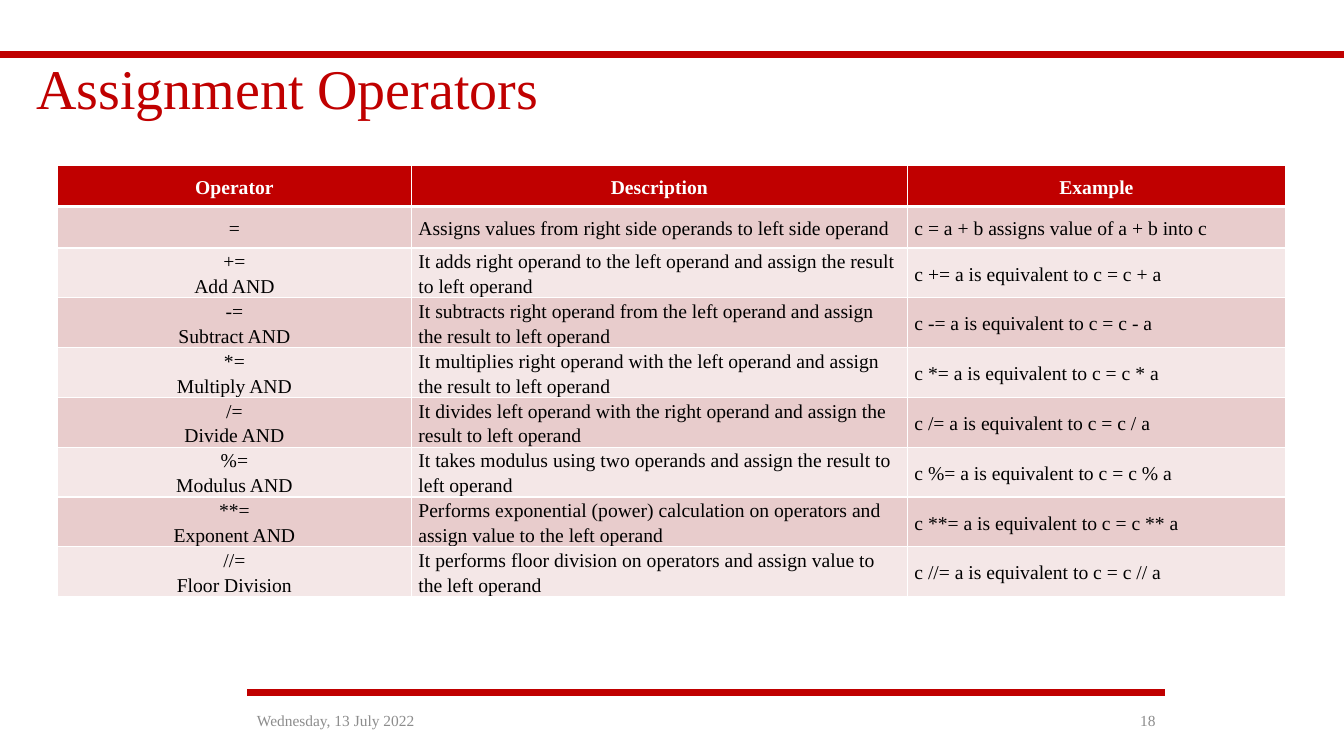
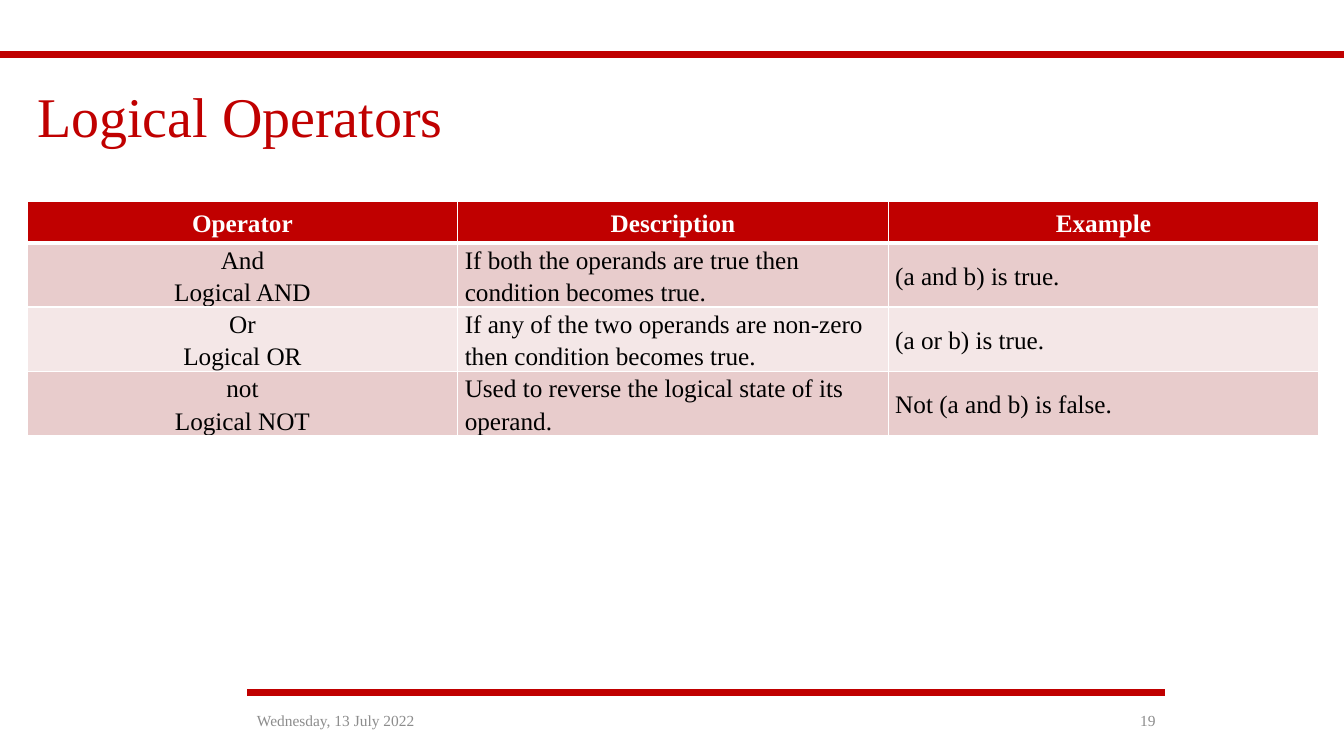
from lxml import etree
from pptx import Presentation
from pptx.dml.color import RGBColor
from pptx.enum.shapes import MSO_CONNECTOR
from pptx.enum.text import MSO_ANCHOR, MSO_AUTO_SIZE, PP_ALIGN
from pptx.oxml.ns import qn
from pptx.util import Inches, Pt

STRAIGHT = MSO_CONNECTOR.STRAIGHT
MIDDLE = MSO_ANCHOR.MIDDLE
NO_AUTOFIT = MSO_AUTO_SIZE.NONE
LEFT, CENTER, RIGHT = PP_ALIGN.LEFT, PP_ALIGN.CENTER, PP_ALIGN.RIGHT

FONT = "Times New Roman"
RED, WHITE, BLACK, GREY = "C00000", "FFFFFF", "000000", "8C8C8C"
BANDS = ("E8CCCC", "F4E7E7")
SLIDE_WIDTH, SLIDE_HEIGHT = 13.33, 7.5
TITLE_WIDTH, TITLE_HEIGHT = 12.81, 1.28
ROW_HEIGHT = 0.41
CELL_INSET = 0.07
DATE = "Wednesday, 13 July 2022"

HEADINGS = ("Operator", "Description", "Example")
ASSIGNMENT_ROWS = [
    ("=", "Assigns values from right side operands to left side operand",
     "c = a + b assigns value of a + b into c"),
    ("+=\nAdd AND",
     "It adds right operand to the left operand and assign the result to left operand",
     "c += a is equivalent to c = c + a"),
    ("-=\nSubtract AND",
     "It subtracts right operand from the left operand and assign the result to left operand",
     "c -= a is equivalent to c = c - a"),
    ("*=\nMultiply AND",
     "It multiplies right operand with the left operand and assign the result to left operand",
     "c *= a is equivalent to c = c * a"),
    ("/=\nDivide AND",
     "It divides left operand with the right operand and assign the result to left operand",
     "c /= a is equivalent to c = c / a"),
    ("%=\nModulus AND",
     "It takes modulus using two operands and assign the result to left operand",
     "c %= a is equivalent to c = c % a"),
    ("**=\nExponent AND",
     "Performs exponential (power) calculation on operators and assign value to the left operand",
     "c **= a is equivalent to c = c ** a"),
    ("//=\nFloor Division",
     "It performs floor division on operators and assign value to the left operand",
     "c //= a is equivalent to c = c // a"),
]
LOGICAL_ROWS = [
    ("And\nLogical AND", "If both the operands are true then condition becomes true.",
     "(a and b) is true."),
    ("Or\nLogical OR", "If any of the two operands are non-zero then condition becomes true.",
     "(a or b) is true."),
    ("not\nLogical NOT", "Used to reverse the logical state of its operand.",
     "Not (a and b) is false."),
]


def rgb(value):
    return RGBColor.from_string(value)


def write_text(frame, text, size, color, align=LEFT, spacing=1.0, bold=False):
    frame.text = text
    frame.word_wrap = True
    for para in frame.paragraphs:
        para.alignment = align
        para.line_spacing = spacing
        for span in para.runs:
            span.font.name = FONT
            span.font.size = Pt(size)
            span.font.bold = bold
            span.font.color.rgb = rgb(color)


def add_master_rule(deck, slide, left, right, top):
    rule = slide.shapes.add_connector(
        STRAIGHT, Inches(left), Inches(top), Inches(right), Inches(top))
    rule.line.color.rgb = rgb(RED)
    rule.line.width = Pt(4.5)
    etree.SubElement(rule.element.spPr, qn("a:effectLst"))
    deck.slide_master.shapes.element.append(rule.element)


def set_title(slide, text, left, top):
    title = slide.shapes.title
    title.left, title.top = Inches(left), Inches(top)
    title.width, title.height = Inches(TITLE_WIDTH), Inches(TITLE_HEIGHT)
    frame = title.text_frame
    write_text(frame, text, 40, RED, spacing=0.9)
    frame.vertical_anchor = MIDDLE
    frame.auto_size = NO_AUTOFIT


def add_footer_text(slide, text, left, width, align):
    box = slide.shapes.add_textbox(Inches(left), Inches(6.95), Inches(width), Inches(0.4))
    write_text(box.text_frame, text, 11, GREY, align)
    box.text_frame.vertical_anchor = MIDDLE


def set_borders(cell, widths):
    properties = cell._tc.get_or_add_tcPr()
    for position, (side, width) in enumerate(widths.items()):
        line = etree.Element(qn(f"a:ln{side}"), w=str(Pt(width)))
        fill = etree.SubElement(line, qn("a:solidFill"))
        etree.SubElement(fill, qn("a:srgbClr"), val=WHITE)
        properties.insert(position, line)


def format_cell(cell, text, row, column, size):
    header = row == 0
    align = CENTER if header or column == 0 else LEFT
    write_text(cell.text_frame, text, size, WHITE if header else BLACK, align, 1.15, header)
    cell.vertical_anchor = MIDDLE
    cell.margin_left = cell.margin_right = Inches(CELL_INSET)
    cell.margin_top = cell.margin_bottom = 0
    cell.fill.solid()
    cell.fill.fore_color.rgb = rgb(RED if header else BANDS[(row - 1) % 2])
    set_borders(cell, {"L": 1, "R": 1, "T": 3 if row == 1 else 1, "B": 3 if header else 1})


def add_operator_table(slide, body, left, top, widths, size):
    rows = [HEADINGS, *body]
    table = slide.shapes.add_table(
        len(rows), len(widths), Inches(left), Inches(top),
        Inches(sum(widths)), Inches(ROW_HEIGHT * len(rows))).table
    for column, width in zip(table.columns, widths):
        column.width = Inches(width)
    for row, texts in enumerate(rows):
        table.rows[row].height = Inches(ROW_HEIGHT)
        for column, text in enumerate(texts):
            format_cell(table.cell(row, column), text, row, column, size)


def add_operator_slide(deck, title, title_at, number, body, table_at, widths, size):
    slide = deck.slides.add_slide(deck.slide_layouts.get_by_name("Title Only"))
    set_title(slide, title, *title_at)
    add_operator_table(slide, body, *table_at, widths, size)
    add_footer_text(slide, DATE, 2.45, 2.25, LEFT)
    add_footer_text(slide, str(number), 10.77, 0.79, RIGHT)
    return slide


def main():
    deck = Presentation()
    deck.slide_width, deck.slide_height = Inches(SLIDE_WIDTH), Inches(SLIDE_HEIGHT)
    slide = add_operator_slide(deck, "Assignment Operators", (0.26, 0.27), 18,
                               ASSIGNMENT_ROWS, (0.57, 1.64), (3.51, 4.92, 3.75), 14)
    add_master_rule(deck, slide, 0, SLIDE_WIDTH, 0.54)
    add_master_rule(deck, slide, 2.45, 11.55, 6.87)
    add_operator_slide(deck, "Logical Operators", (0.27, 0.54), 19,
                       LOGICAL_ROWS, (0.27, 2), (4.27,) * 3, 18)
    deck.save("out.pptx")


if __name__ == "__main__":
    main()
